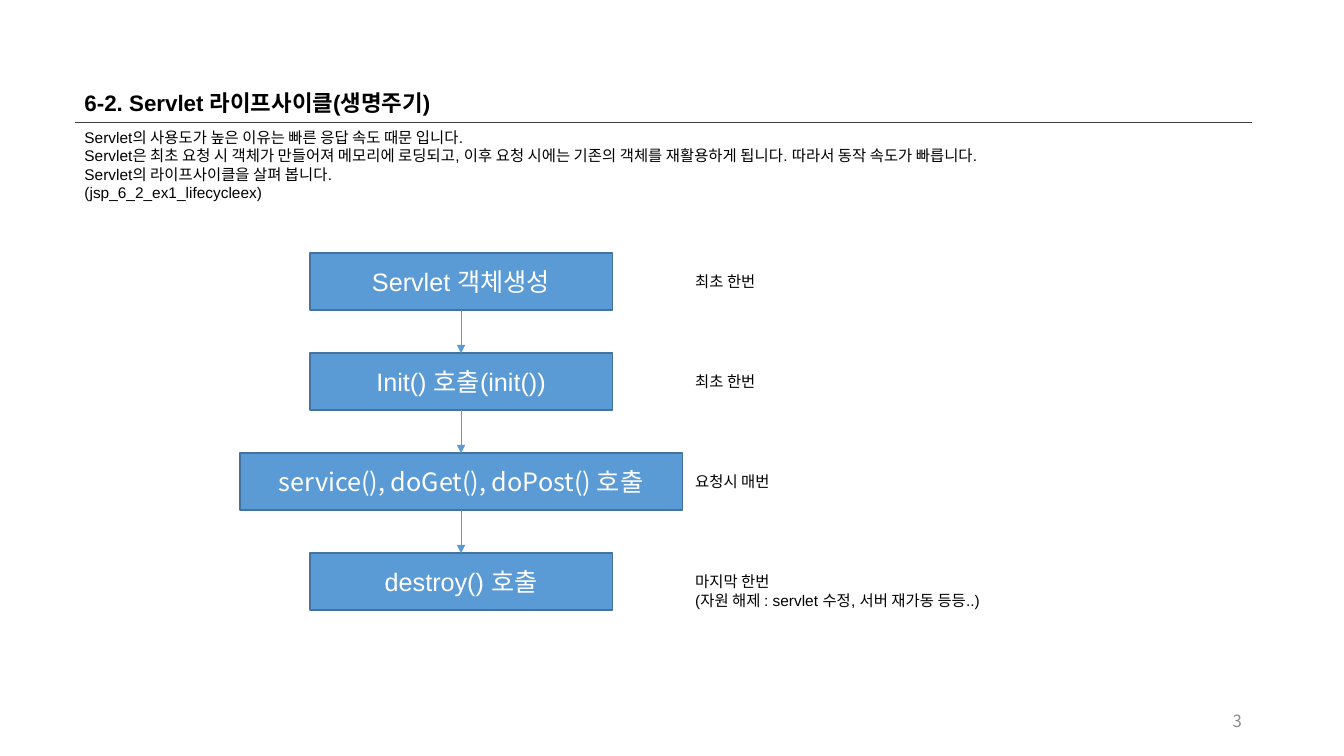
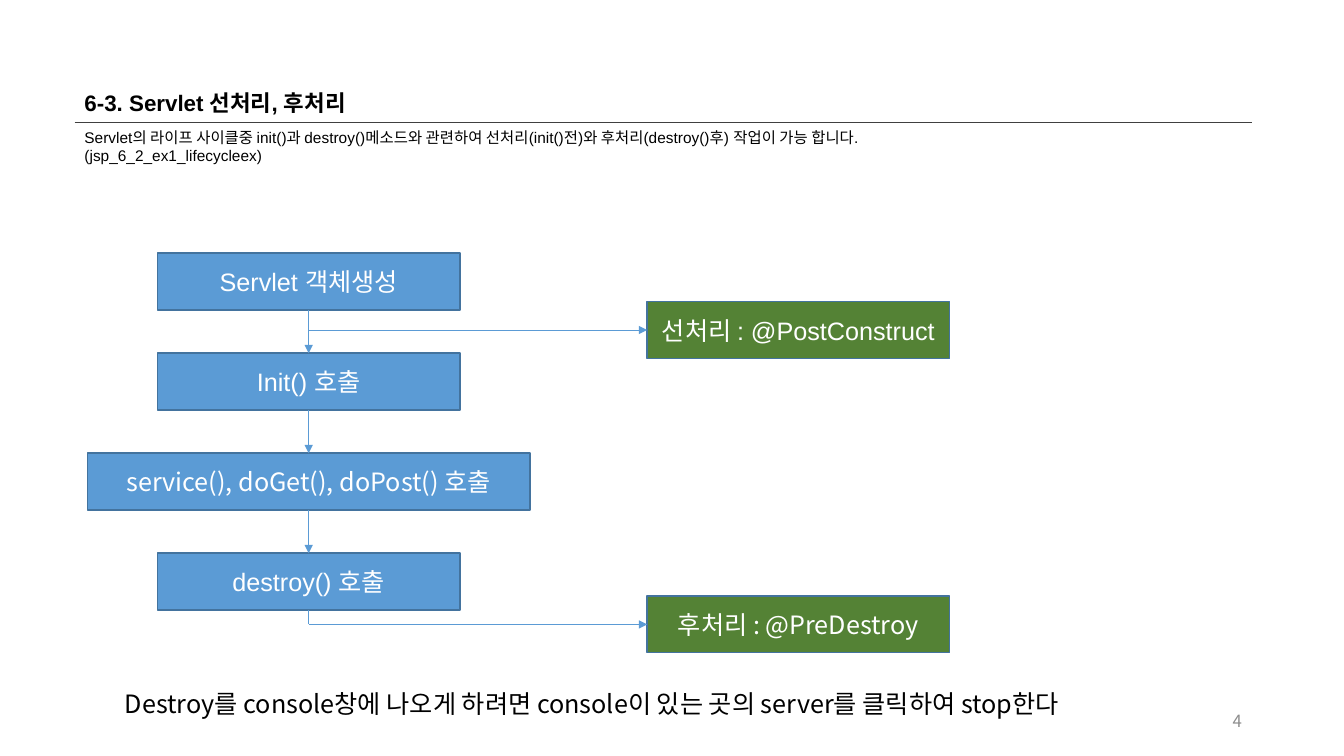
from dataclasses import dataclass

from lxml import etree
from pptx import Presentation
from pptx.dml.color import RGBColor
from pptx.enum.shapes import MSO_CONNECTOR, MSO_SHAPE
from pptx.enum.text import MSO_ANCHOR, PP_ALIGN
from pptx.oxml.ns import qn
from pptx.util import Cm, Pt

RECT = MSO_SHAPE.RECTANGLE
LINE = MSO_CONNECTOR.STRAIGHT
LEFT, MID, RIGHT = PP_ALIGN.LEFT, PP_ALIGN.CENTER, PP_ALIGN.RIGHT
TOP, CENTER = MSO_ANCHOR.TOP, MSO_ANCHOR.MIDDLE


@dataclass(frozen=True)
class Theme:
    sans: str = "Arial"
    noto: str = "Noto Sans CJK KR"
    black: str = "000000"
    white: str = "FFFFFF"
    gray: str = "8C8C8C"
    rule: str = "404040"
    blue: str = "5B9BD5"
    edge: str = "43739E"
    green: str = "548235"
    head: int = 16
    body: int = 11
    label: int = 18
    page: int = 12


T = Theme()

SLIDES = [
    {
        "page": "3",
        "title": "6-2. Servlet 라이프사이클(생명주기)",
        "body": [
            "Servlet의 사용도가 높은 이유는 빠른 응답 속도 때문 입니다.",
            "Servlet은 최초 요청 시 객체가 만들어져 메모리에 로딩되고, 이후 요청 시에는 "
            "기존의 객체를 재활용하게 됩니다. 따라서 동작 속도가 빠릅니다.",
            "Servlet의 라이프사이클을 살펴 봅니다.",
            "(jsp_6_2_ex1_lifecycleex)",
        ],
        "axis": 11.62,
        "steps": [
            ("Servlet 객체생성", T.sans, 7.62),
            ("Init() 호출(init())", T.sans, 7.62),
            ("service(), doGet(), doPost() 호출", T.noto, 11.15),
            ("destroy() 호출", T.sans, 7.62),
        ],
        "notes": [
            ["최초 한번"],
            ["최초 한번"],
            ["요청시 매번"],
            ["마지막 한번", "(자원 해제 : servlet 수정, 서버 재가동 등등..)"],
        ],
    },
    {
        "page": "4",
        "title": "6-3. Servlet 선처리, 후처리",
        "body": [
            "Servlet의 라이프 사이클중 init()과 destroy()메소드와 관련하여 "
            "선처리(init()전)와 후처리(destroy()후) 작업이 가능 합니다.",
            "(jsp_6_2_ex1_lifecycleex)",
        ],
        "axis": 7.78,
        "steps": [
            ("Servlet 객체생성", T.sans, 7.62),
            ("Init() 호출", T.sans, 7.62),
            ("service(), doGet(), doPost() 호출", T.noto, 11.15),
            ("destroy() 호출", T.sans, 7.62),
        ],
        "hooks": [
            ("선처리 : @PostConstruct", T.sans, 7.6, None),
            ("후처리 : @PreDestroy", T.noto, 15.02, 3),
        ],
        "foot": "Destroy를 console창에 나오게 하려면 console이 있는 곳의 "
                "server를 클릭하여 stop한다",
    },
]

EDGE, WIDE = 1.88, 29.67
RULE_Y = 3.08
STEP_Y, PITCH, TALL = 6.38, 2.52, 1.43
NOTE_X, NOTE_DY, NOTE_W = 17.27, 0.36, 8.6
HOOK_X, HOOK_W = 16.31, 7.62


def rgb(code):
    return RGBColor.from_string(code)


def write(shape, lines, size=T.body, font=T.sans, color=T.black,
          bold=False, align=LEFT, anchor=TOP, wrap=True):
    frame = shape.text_frame
    frame.word_wrap = wrap
    frame.vertical_anchor = anchor
    for i, line in enumerate(lines):
        para = frame.paragraphs[0] if i == 0 else frame.add_paragraph()
        para.alignment = align
        run = para.add_run()
        run.text = line
        run.font.size = Pt(size)
        run.font.name = font
        run.font.bold = bold
        run.font.color.rgb = rgb(color)
        asian = etree.SubElement(run.font._element, qn("a:ea"))
        asian.set("typeface", T.noto)


def add_text(slide, x, y, w, h, lines, **form):
    box = slide.shapes.add_textbox(Cm(x), Cm(y), Cm(w), Cm(h))
    write(box, lines, **form)


def add_box(slide, x, y, w, text, font, fill):
    box = slide.shapes.add_shape(RECT, Cm(x), Cm(y), Cm(w), Cm(TALL))
    box.shadow.inherit = False
    box.fill.solid()
    box.fill.fore_color.rgb = rgb(fill)
    box.line.color.rgb = rgb(T.edge)
    box.line.width = Pt(1)
    write(box, [text], size=T.label, font=font, color=T.white,
          align=MID, anchor=CENTER, wrap=False)
    return box


def add_line(slide, x1, y1, x2, y2, color=T.blue, width=0.5,
             arrow=True, start=None, end=None):
    line = slide.shapes.add_connector(LINE, Cm(x1), Cm(y1), Cm(x2), Cm(y2))
    line.line.color.rgb = rgb(color)
    line.line.width = Pt(width)
    if arrow:
        tip = etree.SubElement(line.line._get_or_add_ln(), qn("a:tailEnd"))
        tip.set("type", "triangle")
    etree.SubElement(line._element.spPr, qn("a:effectLst"))
    if start:
        line.begin_connect(*start)
    if end:
        line.end_connect(*end)


def add_frame(slide, data):
    add_text(slide, EDGE, 2.11, WIDE, 0.94, [data["title"]],
             size=T.head, bold=True)
    add_text(slide, 23.93, 17.65, 7.62, 1.02, [data["page"]], size=T.page,
             font=T.noto, color=T.gray, align=RIGHT, anchor=CENTER)
    add_line(slide, EDGE, RULE_Y, EDGE + WIDE, RULE_Y,
             color=T.rule, width=1, arrow=False)
    add_text(slide, EDGE, 3.1, WIDE, 2.1, data["body"])


def add_flow(slide, axis, steps):
    boxes = []
    for i, (text, font, wide) in enumerate(steps):
        y = STEP_Y + i * PITCH
        box = add_box(slide, axis - wide / 2, y, wide, text, font, T.blue)
        if boxes:
            add_line(slide, axis, y - PITCH + TALL, axis, y,
                     start=(boxes[-1], 2), end=(box, 0))
        boxes.append(box)
    return boxes


def add_hooks(slide, axis, hooks, boxes):
    for text, font, y, index in hooks:
        hook = add_box(slide, HOOK_X, y, HOOK_W, text, font, T.green)
        mid = y + TALL / 2
        add_line(slide, axis, mid, HOOK_X, mid, end=(hook, 1))
        if index is not None:
            low = STEP_Y + index * PITCH + TALL
            add_line(slide, axis, low, axis, mid,
                     arrow=False, start=(boxes[index], 2))


def main():
    deck = Presentation()
    deck.slide_width, deck.slide_height = Cm(33.87), Cm(19.05)
    for data in SLIDES:
        slide = deck.slides.add_slide(deck.slide_layouts[6])
        add_frame(slide, data)
        boxes = add_flow(slide, data["axis"], data["steps"])
        for i, lines in enumerate(data.get("notes", [])):
            add_text(slide, NOTE_X, STEP_Y + i * PITCH + NOTE_DY,
                     NOTE_W, 0.73 * len(lines), lines)
        add_hooks(slide, data["axis"], data.get("hooks", []), boxes)
        if "foot" in data:
            add_text(slide, 2.9, 17.22, 25.4, 1.02, [data["foot"]],
                     size=T.label, font=T.noto)
    deck.save("out.pptx")


if __name__ == "__main__":
    main()
